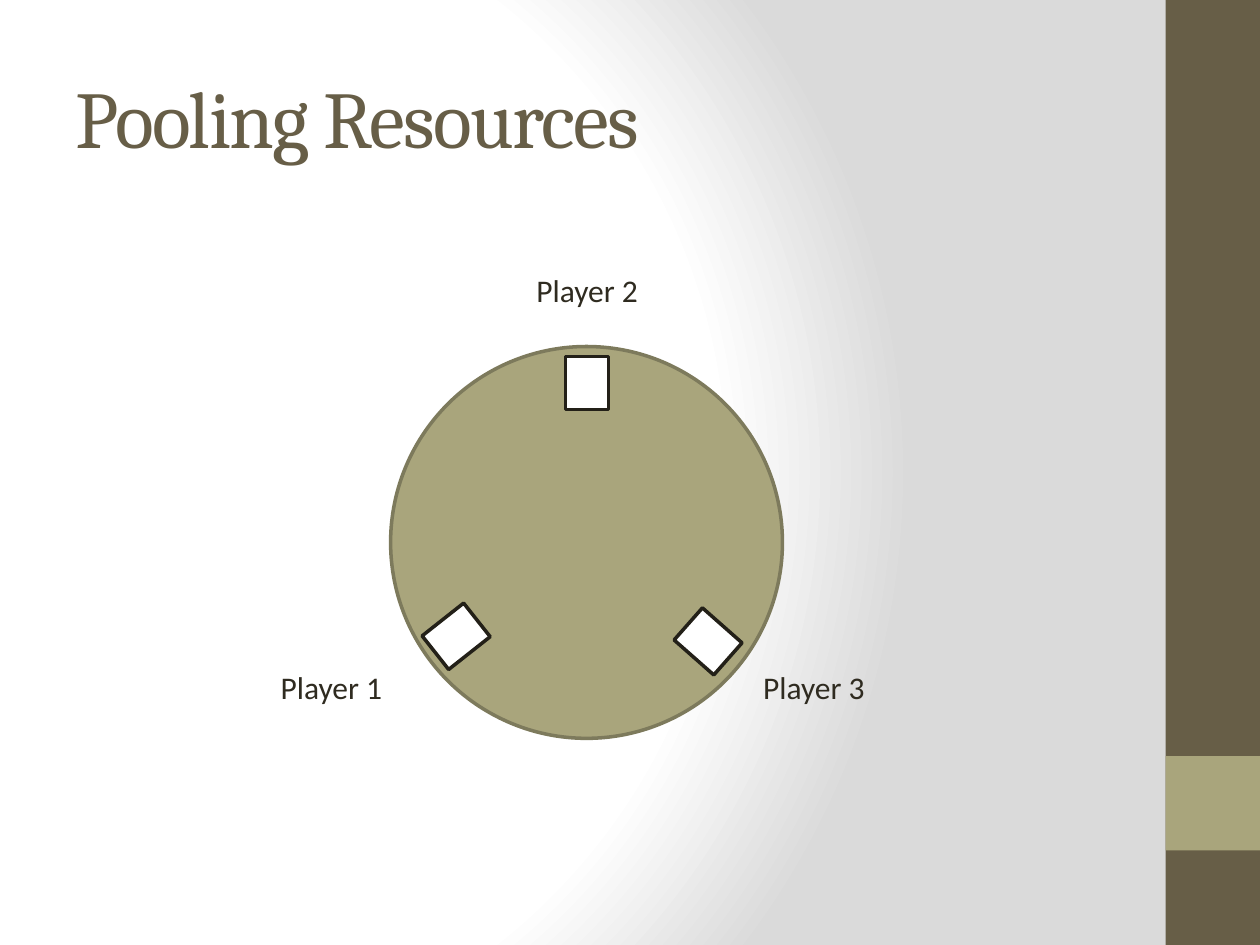
"""Build the Pooling Resources slide: three players around a shared table."""
from dataclasses import dataclass

from pptx import Presentation
from pptx.dml.color import RGBColor
from pptx.enum.shapes import MSO_SHAPE
from pptx.enum.text import MSO_ANCHOR, MSO_AUTO_SIZE, PP_ALIGN
from pptx.oxml import parse_xml
from pptx.oxml.ns import nsdecls, qn
from pptx.util import Inches, Pt

BROWN, OLIVE, OLIVE_EDGE = "675E47", "A9A57C", "7D7A5C"
INK, CARD_EDGE, WHITE, GREY = "2F2B20", "232018", "FFFFFF", "DADADA"
GRADIENT_STOPS = ((0, WHITE), (75, WHITE), (100, GREY))


@dataclass
class Player:
    name: str
    label_left: float
    label_top: float
    card_left: float
    card_top: float
    rotation: float = 0


PLAYERS = (
    Player("Player 1", 1.92, 5.25, 3.45, 4.84, 51.7),
    Player("Player 2", 3.95, 2.1, 4.49, 2.83),
    Player("Player 3", 5.75, 5.25, 5.45, 4.88, 311.4),
)


def color(value: str) -> RGBColor:
    return RGBColor.from_string(value)


def set_background(slide) -> None:
    slide.background.fill.solid()
    properties = slide.element.find(".//" + qn("p:bgPr"))
    stops = "".join(
        f'<a:gs pos="{position * 1000}"><a:srgbClr val="{value}"/></a:gs>'
        for position, value in GRADIENT_STOPS
    )
    gradient = parse_xml(
        f'<a:gradFill {nsdecls("a")} rotWithShape="1"><a:gsLst>{stops}</a:gsLst>'
        '<a:path path="circle"><a:fillToRect l="20000" t="50000" r="100000" b="50000"/>'
        "</a:path></a:gradFill>"
    )
    properties.replace(properties[0], gradient)


def add_text(paragraph, text: str, font: str, size: float, value: str):
    run = paragraph.add_run()
    run.text = text
    run.font.name = font
    run.font.size = Pt(size)
    run.font.color.rgb = color(value)
    return run


def add_title(slide, text: str) -> None:
    title = slide.shapes.title
    title.left, title.top = Inches(0.5), Inches(0.3)
    title.width, title.height = Inches(8.33), Inches(1.25)
    title.text_frame.vertical_anchor = MSO_ANCHOR.MIDDLE
    paragraph = title.text_frame.paragraphs[0]
    paragraph.alignment = PP_ALIGN.LEFT
    run = add_text(paragraph, text, "Cambria", 46, BROWN)
    run.font._element.set("spc", "-100")


def add_block(slide, kind, left: float, top: float, width: float, height: float,
              fill: str, edge: str = "", rotation: float = 0) -> None:
    shape = slide.shapes.add_shape(
        kind, Inches(left), Inches(top), Inches(width), Inches(height))
    shape.shadow.inherit = False
    shape.rotation = rotation
    shape.fill.solid()
    shape.fill.fore_color.rgb = color(fill)
    if edge:
        shape.line.color.rgb = color(edge)
        shape.line.width = Pt(2)
    else:
        shape.line.fill.background()


def add_label(slide, player: Player) -> None:
    label = slide.shapes.add_textbox(
        Inches(player.label_left), Inches(player.label_top), Inches(1.42), Inches(0.4))
    frame = label.text_frame
    frame.word_wrap = True
    frame.auto_size = MSO_AUTO_SIZE.SHAPE_TO_FIT_TEXT
    paragraph = frame.paragraphs[0]
    paragraph.alignment = PP_ALIGN.CENTER
    add_text(paragraph, player.name, "Calibri", 18, INK)


def main() -> None:
    presentation = Presentation()
    presentation.slide_width, presentation.slide_height = Inches(10), Inches(7.5)
    slide = presentation.slides.add_slide(presentation.slide_layouts[5])
    set_background(slide)
    add_block(slide, MSO_SHAPE.RECTANGLE, 9.25, 0, 0.75, 7.5, BROWN)
    add_block(slide, MSO_SHAPE.RECTANGLE, 9.25, 6, 0.75, 0.75, OLIVE)
    add_title(slide, "Pooling Resources")
    for player in PLAYERS:
        add_label(slide, player)
    add_block(slide, MSO_SHAPE.OVAL, 3.1, 2.75, 3.11, 3.11, OLIVE, OLIVE_EDGE)
    for player in PLAYERS:
        add_block(slide, MSO_SHAPE.RECTANGLE, player.card_left, player.card_top,
                  0.34, 0.42, WHITE, CARD_EDGE, player.rotation)
    presentation.save("out.pptx")


if __name__ == "__main__":
    main()
